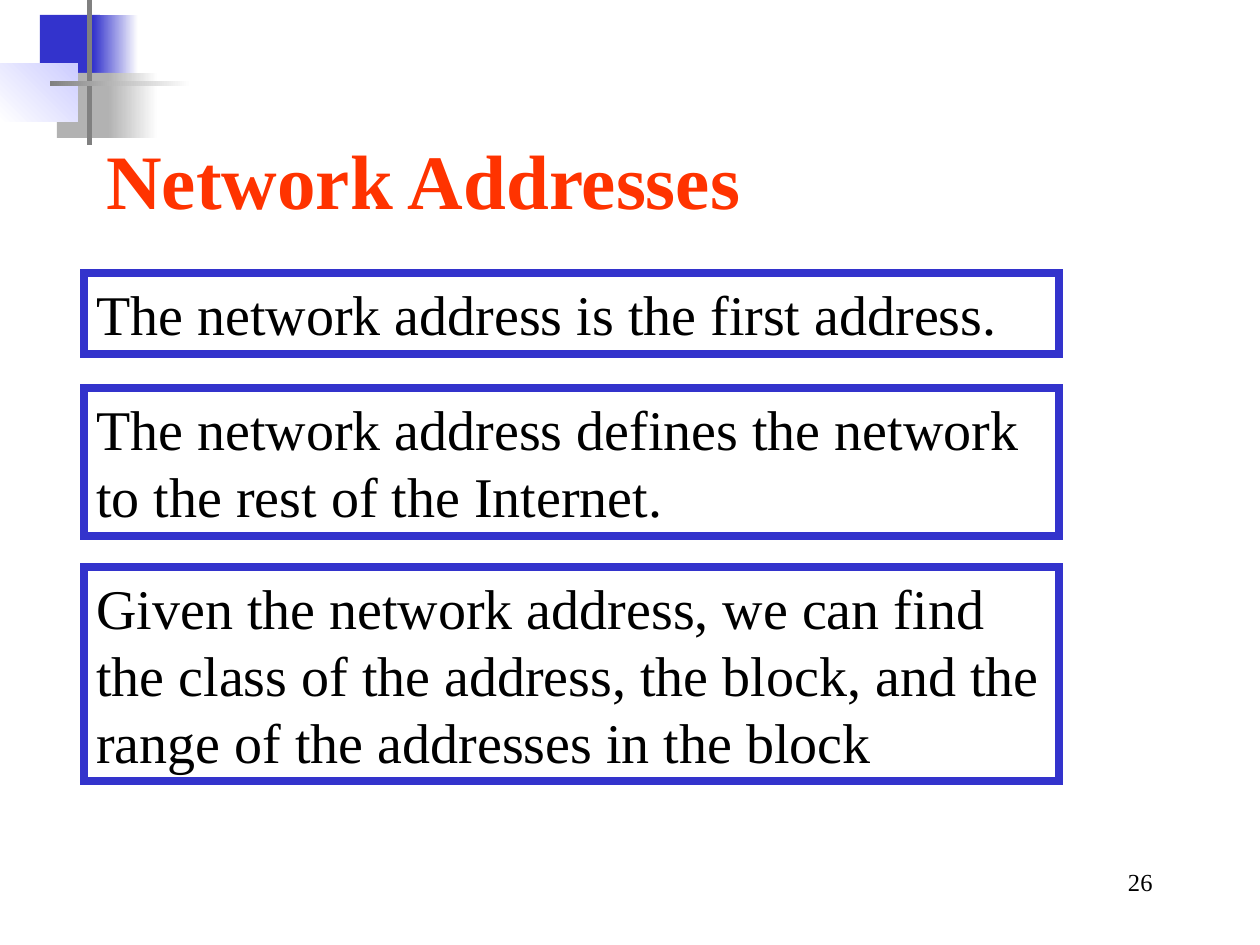
from lxml.etree import SubElement
from pptx import Presentation
from pptx.dml.color import RGBColor
from pptx.enum.shapes import MSO_SHAPE
from pptx.enum.text import MSO_ANCHOR, MSO_AUTO_SIZE, PP_ALIGN
from pptx.oxml.ns import qn
from pptx.util import Emu, Pt

PX = 914400 // 126
BLUE, GREY, DARK_GREY, WHITE = "3333CC", "B2B2B2", "808080", "FFFFFF"

TITLE = "Network Addresses"
PAGE_NUMBER = "26"
STATEMENTS = [
    (273, 81, "The network address is the first address."),
    (388, 148, "The network address defines the network to the rest of the Internet."),
    (567, 214, "Given the network address, we can find the class of the address, "
               "the block, and the range of the addresses in the block"),
]
ORNAMENT = [
    ((40, 15, 60, 66), (BLUE,), 0),
    ((93, 15, 45, 66), (BLUE, WHITE), 0),
    ((57, 73, 58, 65), (GREY,), 0),
    ((108, 73, 50, 65), (GREY, WHITE), 0),
    ((0, 63, 78, 59), (WHITE, "CCCCFF"), 45),
    ((87, 0, 5, 145), (DARK_GREY,), 0),
    ((50, 81, 141, 5), (DARK_GREY, WHITE), 0),
]


def color(code):
    return RGBColor.from_string(code)


def place(box):
    return [Emu(length * PX) for length in box]


def add_block(slide, box, colors=(), angle=0, outline=None):
    block = slide.shapes.add_shape(MSO_SHAPE.RECTANGLE, *place(box))
    block.shadow.inherit = False
    if len(colors) == 2:
        block.fill.gradient()
        block.fill.gradient_angle = angle
        for stop, code in zip(block.fill.gradient_stops, colors):
            stop.color.rgb = color(code)
    elif colors:
        block.fill.solid()
        block.fill.fore_color.rgb = color(colors[0])
    else:
        block.fill.background()
    if outline:
        block.line.color.rgb = color(outline)
        block.line.width = Pt(4.5)
        border = block.element.spPr.find(qn("a:ln"))
        SubElement(border, qn("a:miter"), lim="800000")
    else:
        block.line.fill.background()
    return block


def write(holder, text, size=32, ink="000000", bold=False,
          align=PP_ALIGN.LEFT, grow=True):
    frame = holder.text_frame
    frame.word_wrap = True
    frame.vertical_anchor = MSO_ANCHOR.TOP
    frame.auto_size = MSO_AUTO_SIZE.SHAPE_TO_FIT_TEXT if grow else MSO_AUTO_SIZE.NONE
    paragraph = frame.paragraphs[0]
    paragraph.alignment = align
    run = paragraph.add_run()
    run.text = text
    run.font.name = "Times New Roman"
    run.font.size = Pt(size)
    run.font.bold = bold
    run.font.color.rgb = color(ink)


def main():
    deck = Presentation()
    deck.slide_width, deck.slide_height = place((1260, 945))
    slide = deck.slides.add_slide(deck.slide_layouts[6])

    for box, colors, angle in ORNAMENT:
        add_block(slide, box, colors, angle)

    number = slide.shapes.add_textbox(*place((903, 861, 262, 63)))
    write(number, PAGE_NUMBER, size=14, align=PP_ALIGN.RIGHT, grow=False)
    title = slide.shapes.add_textbox(*place((94, 126, 693, 106)))
    write(title, TITLE, size=44, ink="FF3300", bold=True)

    for top, height, statement in STATEMENTS:
        write(add_block(slide, (84, top, 975, height), outline=BLUE), statement)

    deck.save("out.pptx")


if __name__ == "__main__":
    main()
